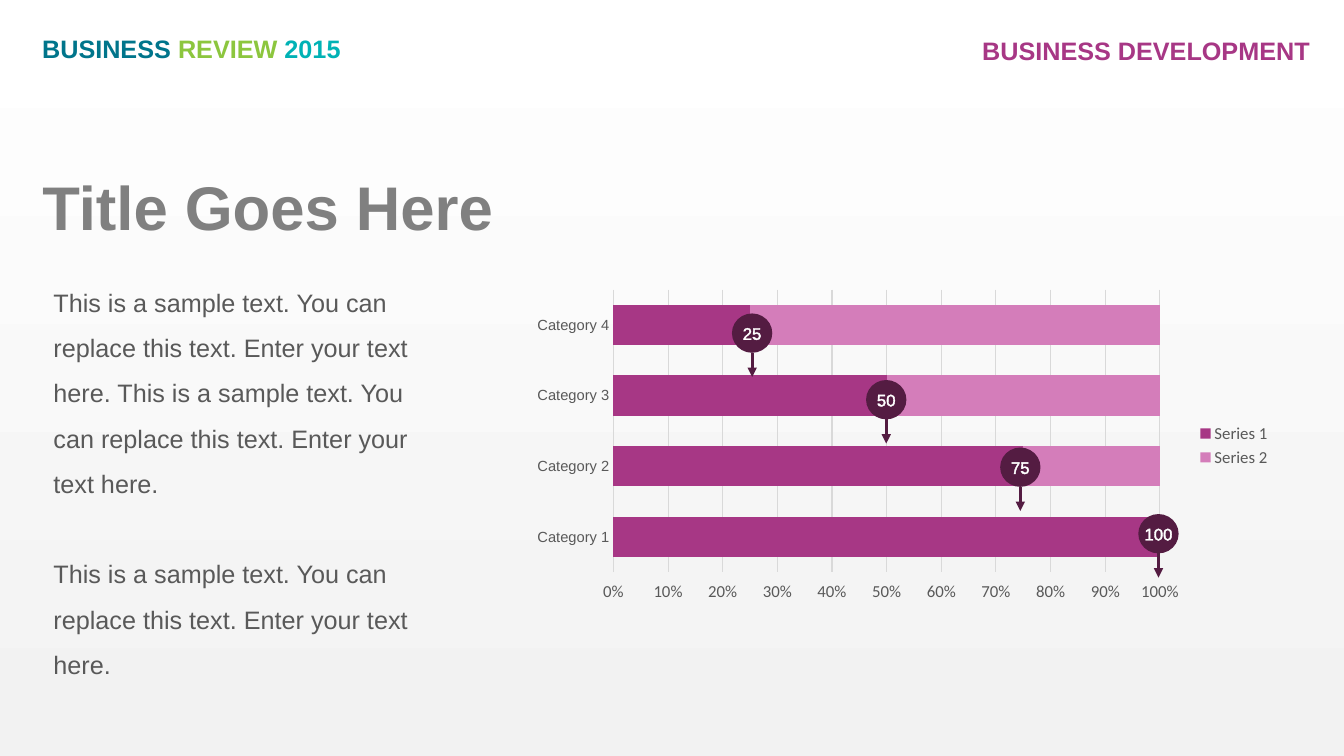
from dataclasses import dataclass
from typing import Any

from lxml.etree import SubElement
from pptx import Presentation
from pptx.chart.data import CategoryChartData
from pptx.dml.color import RGBColor
from pptx.enum.chart import XL_CHART_TYPE, XL_LEGEND_POSITION, XL_TICK_MARK
from pptx.enum.shapes import MSO_CONNECTOR, MSO_SHAPE
from pptx.enum.text import MSO_ANCHOR, MSO_AUTO_SIZE, PP_ALIGN
from pptx.oxml import parse_xml
from pptx.oxml.ns import nsdecls, qn
from pptx.util import Emu, Pt

EMU_PER_PX = 9144
SLIDE_WIDTH, SLIDE_HEIGHT = 1333, 750
PURPLE, PINK, PLUM = "A73785", "D47DBA", "541C42"
TEXT_GRAY, TITLE_GRAY, GRID_GRAY, WHITE = "595959", "808080", "D9D9D9", "FFFFFF"
SAMPLE = "This is a sample text. You can replace this text. Enter your text here."
PLOT_LAYOUT = {"x": 0.12, "y": 0.02, "w": 0.72, "h": 0.87}
MARKER_WIDTH, MARKER_HEIGHT, ARROW_LENGTH = 40, 39, 24


@dataclass(frozen=True)
class Box:
    left: int
    top: int
    width: int
    height: int

    def emu(self) -> list[Emu]:
        return [px(value) for value in (self.left, self.top, self.width, self.height)]


@dataclass(frozen=True)
class Word:
    text: str
    color: str


@dataclass(frozen=True)
class Header:
    box: Box
    words: tuple[Word, ...]
    alignment: PP_ALIGN


@dataclass(frozen=True)
class Marker:
    value: int
    left: int
    top: int


HEADERS = (
    Header(Box(32, 28, 354, 40),
           (Word("BUSINESS ", "00758B"), Word("REVIEW ", "8CC63E"), Word("2015", "00B2B5")),
           PP_ALIGN.LEFT),
    Header(Box(955, 30, 354, 40), (Word("BUSINESS DEVELOPMENT", PURPLE),), PP_ALIGN.RIGHT),
)
MARKERS = (Marker(25, 726, 311), Marker(50, 859, 377),
           Marker(75, 992, 444), Marker(100, 1129, 510))


def px(value: int) -> Emu:
    return Emu(value * EMU_PER_PX)


def rgb(color: str) -> RGBColor:
    return RGBColor.from_string(color)


def apply(target: Any, values: dict[str, Any]) -> None:
    for name, value in values.items():
        setattr(target, name, value)


def format_font(font: Any, size: float, color: str, name: str = "Arial",
                bold: bool = False) -> None:
    apply(font, {"size": Pt(size), "name": name, "bold": bold})
    font.color.rgb = rgb(color)


def place(shape: Any, box: Box) -> None:
    apply(shape, dict(zip(("left", "top", "width", "height"), box.emu())))


def paint_background(slide: Any) -> None:
    fill = slide.background.fill
    fill.gradient()
    fill.gradient_angle = 90
    for stop, color in zip(fill.gradient_stops, ("F2F2F2", WHITE)):
        stop.color.rgb = rgb(color)


def add_header(slide: Any, header: Header) -> None:
    frame = slide.shapes.add_textbox(*header.box.emu()).text_frame
    frame.word_wrap = True
    paragraph = frame.paragraphs[0]
    paragraph.alignment = header.alignment
    for word in header.words:
        run = paragraph.add_run()
        run.text = word.text
        format_font(run.font, 18, word.color, bold=True)


def fill_title(slide: Any) -> None:
    title = slide.shapes.title
    place(title, Box(32, 163, 529, 84))
    frame = title.text_frame
    frame.text = "Title Goes Here"
    apply(frame, {"vertical_anchor": MSO_ANCHOR.TOP, "auto_size": MSO_AUTO_SIZE.NONE})
    paragraph = frame.paragraphs[0]
    paragraph.alignment = PP_ALIGN.LEFT
    format_font(paragraph.runs[0].font, 44, TITLE_GRAY, bold=True)


def fill_body(slide: Any) -> None:
    body = slide.placeholders[1]
    place(body, Box(43, 254, 412, 436))
    frame = body.text_frame
    frame.text = f"{SAMPLE} {SAMPLE}\n{SAMPLE}"
    apply(frame, {"vertical_anchor": MSO_ANCHOR.MIDDLE, "auto_size": MSO_AUTO_SIZE.NONE})
    for paragraph, gap in zip(frame.paragraphs, (0, 32)):
        apply(paragraph, {"line_spacing": 1.5, "space_before": Pt(gap)})
        properties = paragraph._p.get_or_add_pPr()
        properties.set("marL", "0")
        properties.set("indent", "0")
        SubElement(properties, qn("a:buNone"))
        format_font(paragraph.runs[0].font, 18, TEXT_GRAY)


def set_plot_layout(chart: Any) -> None:
    plot_area = chart._chartSpace.chart.plotArea
    for layout in plot_area.findall(qn("c:layout")):
        plot_area.remove(layout)
    modes = '<c:layoutTarget val="inner"/><c:xMode val="edge"/><c:yMode val="edge"/>'
    sizes = "".join(f'<c:{key} val="{value}"/>' for key, value in PLOT_LAYOUT.items())
    plot_area.insert(0, parse_xml(
        f'<c:layout {nsdecls("c")}><c:manualLayout>{modes}{sizes}</c:manualLayout></c:layout>'))


def add_progress_chart(slide: Any) -> None:
    done = (100, 75, 50, 25)
    data = CategoryChartData()
    data.categories = [f"Category {number}" for number in range(1, 5)]
    data.add_series("Series 1", done)
    data.add_series("Series 2", [100 - value for value in done])
    chart = slide.shapes.add_chart(
        XL_CHART_TYPE.BAR_STACKED_100, *Box(518, 281, 753, 322).emu(), data).chart
    format_font(chart.font, 10, "000000", "Calibri")
    apply(chart, {"has_title": False, "has_legend": True})
    apply(chart.legend, {"position": XL_LEGEND_POSITION.RIGHT, "include_in_layout": False})
    format_font(chart.legend.font, 12, TEXT_GRAY, "Calibri")

    plot = chart.plots[0]
    apply(plot, {"gap_width": 75, "overlap": 100, "vary_by_categories": False})
    for series, color in zip(plot.series, (PURPLE, PINK)):
        series.format.fill.solid()
        series.format.fill.fore_color.rgb = rgb(color)

    category_axis, value_axis = chart.category_axis, chart.value_axis
    category_axis.major_tick_mark = XL_TICK_MARK.NONE
    format_font(category_axis.tick_labels.font, 10.5, TEXT_GRAY)
    apply(value_axis, {"major_unit": 0.1, "minimum_scale": 0, "maximum_scale": 1})
    apply(value_axis.tick_labels, {"number_format": "0%", "number_format_is_linked": False})
    format_font(value_axis.tick_labels.font, 12, TEXT_GRAY, "Calibri")
    value_axis.format.line.fill.background()
    for line in (category_axis.format.line, value_axis.major_gridlines.format.line):
        line.color.rgb = rgb(GRID_GRAY)
        line.width = Pt(0.75)
    set_plot_layout(chart)


def outline_text(run: Any) -> None:
    properties = run._r.get_or_add_rPr()
    properties.insert(0, parse_xml(
        f'<a:ln {nsdecls("a")} w="3175"><a:solidFill><a:srgbClr val="{WHITE}"/>'
        "</a:solidFill></a:ln>"))


def add_marker(slide: Any, marker: Marker) -> None:
    shapes = slide.shapes.add_group_shape().shapes
    box = Box(marker.left, marker.top, MARKER_WIDTH, MARKER_HEIGHT)
    circle = shapes.add_shape(MSO_SHAPE.OVAL, *box.emu())
    circle.shadow.inherit = False
    circle.fill.solid()
    circle.fill.fore_color.rgb = rgb(PLUM)
    circle.line.fill.background()
    frame = circle.text_frame
    apply(frame, {"margin_left": 0, "margin_right": 0, "margin_top": 0, "margin_bottom": 0,
                  "word_wrap": False, "vertical_anchor": MSO_ANCHOR.MIDDLE})
    paragraph = frame.paragraphs[0]
    paragraph.alignment = PP_ALIGN.CENTER
    run = paragraph.add_run()
    run.text = str(marker.value)
    format_font(run.font, 12, WHITE)
    outline_text(run)

    center, bottom = px(marker.left + MARKER_WIDTH // 2), marker.top + MARKER_HEIGHT
    arrow = shapes.add_connector(
        MSO_CONNECTOR.STRAIGHT, center, px(bottom), center, px(bottom + ARROW_LENGTH))
    arrow.line.color.rgb = rgb(PLUM)
    arrow.line.width = Pt(2.25)
    SubElement(arrow.line._get_or_add_ln(), qn("a:tailEnd"), type="triangle")
    SubElement(arrow._element.spPr, qn("a:effectLst"))


def main() -> None:
    presentation = Presentation()
    apply(presentation, {"slide_width": px(SLIDE_WIDTH), "slide_height": px(SLIDE_HEIGHT)})
    slide = presentation.slides.add_slide(presentation.slide_layouts[1])
    paint_background(slide)
    for header in HEADERS:
        add_header(slide, header)
    add_progress_chart(slide)
    for marker in MARKERS:
        add_marker(slide, marker)
    fill_title(slide)
    fill_body(slide)
    presentation.save("out.pptx")


if __name__ == "__main__":
    main()
